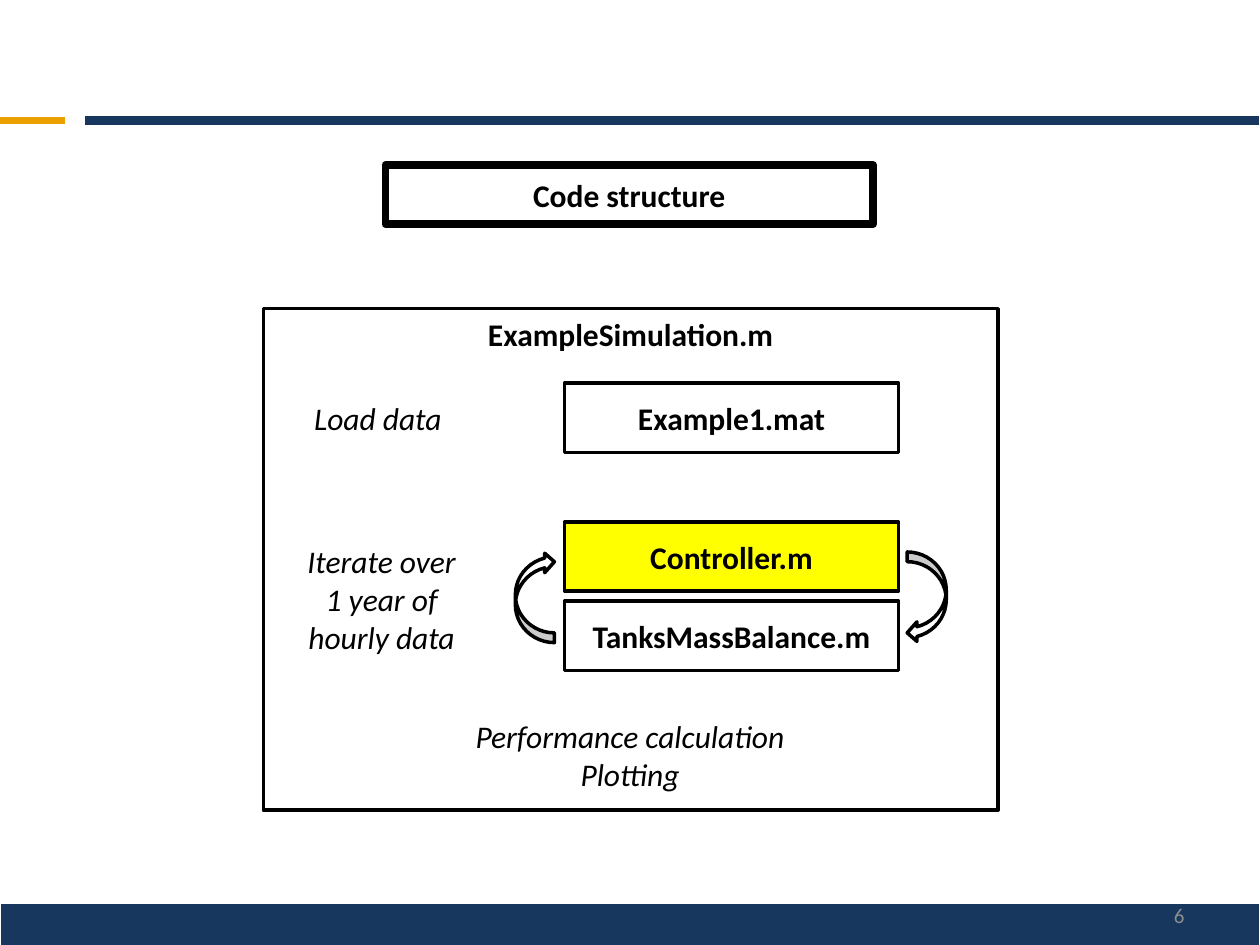
from dataclasses import dataclass
from typing import Optional

from pptx import Presentation
from pptx.dml.color import RGBColor
from pptx.enum.shapes import MSO_SHAPE as Shape
from pptx.enum.text import MSO_ANCHOR as Anchor, PP_ALIGN as Align
from pptx.util import Pt

BLACK, WHITE, NAVY, GOLD, YELLOW, GREY = (
    "000000", "FFFFFF", "17375E", "ECA000", "FFFF00", "8C8C8C")


@dataclass
class Box:
    left: float
    top: float
    width: float
    height: float
    text: str = ""
    fill: Optional[str] = WHITE
    line: Optional[str] = BLACK
    weight: float = 2
    italic: bool = False
    anchor: Anchor = Anchor.MIDDLE
    kind: Shape = Shape.RECTANGLE
    rotation: float = 0


def color(value: str) -> RGBColor:
    return RGBColor.from_string(value)


def write(frame, text: str, size: float, ink: str, align: Align,
          bold: bool = False, italic: bool = False) -> None:
    frame.word_wrap = True
    for index, line in enumerate(text.split("\n")):
        para = frame.add_paragraph() if index else frame.paragraphs[0]
        para.text = line
        para.alignment = align
        font = para.font
        font.name, font.size = "Calibri", Pt(size)
        font.bold, font.italic = bold, italic
        font.color.rgb = color(ink)


def draw_box(page, box: Box) -> None:
    shape = page.shapes.add_shape(
        box.kind, Pt(box.left), Pt(box.top), Pt(box.width), Pt(box.height))
    shape.shadow.inherit = False
    shape.rotation = box.rotation
    if box.fill:
        shape.fill.solid()
        shape.fill.fore_color.rgb = color(box.fill)
    else:
        shape.fill.background()
    if box.line:
        shape.line.color.rgb = color(box.line)
        shape.line.width = Pt(box.weight)
    else:
        shape.line.fill.background()
    if box.text:
        shape.text_frame.vertical_anchor = box.anchor
        write(shape.text_frame, box.text, 18, BLACK, Align.CENTER,
              bold=not box.italic, italic=box.italic)


def bar(left: float, top: float, width: float, height: float, fill: str) -> Box:
    return Box(left, top, width, height, fill=fill, line=WHITE, weight=0.75)


def file_box(top: float, text: str, fill: str = WHITE) -> Box:
    return Box(322.6, top, 190.8, 39.6, text, fill)


def label(left: float, top: float, width: float, height: float, text: str) -> Box:
    return Box(left, top, width, height, text, line=None, italic=True)


def loop_arrow(left: float, rotation: float = 0) -> Box:
    return Box(left, 315.4, 22.3, 51.8, kind=Shape.CURVED_LEFT_ARROW,
               rotation=rotation)


deck = Presentation()
deck.slide_width, deck.slide_height = Pt(720), Pt(540)
page = deck.slides.add_slide(deck.slide_layouts[6])

boxes = [
    # Simulation frame
    Box(150.5, 176.4, 419.8, 286.6, "ExampleSimulation.m", anchor=Anchor.TOP),
    # Header and footer bars
    bar(48.2, 66.2, 671.8, 5.8, NAVY),
    bar(-2.9, 66.4, 40.3, 5, GOLD),
    bar(0, 516.4, 720, 25.9, NAVY),
    # Title
    Box(220.3, 94.3, 278.6, 33.8, "Code structure", fill=None, weight=4.5),
    # Code files
    file_box(298.2, "Controller.m", YELLOW),
    file_box(343.5, "TanksMassBalance.m"),
    file_box(218.9, "Example1.mat"),
    # Step descriptions
    label(167, 218.9, 97.9, 39.6, "Load data"),
    label(167, 301.2, 102.2, 82.1, "Iterate over 1 year of hourly data"),
    label(167.4, 405.4, 385.2, 51.8, "Performance calculation\nPlotting"),
    # Iteration loop
    loop_arrow(518.4),
    loop_arrow(294.5, 180),
]
for box in boxes:
    draw_box(page, box)

# Page number
number = page.shapes.add_textbox(Pt(516.2), Pt(508.5), Pt(167.8), Pt(28.8))
number.text_frame.vertical_anchor = Anchor.MIDDLE
write(number.text_frame, "6", 12, GREY, Align.RIGHT)

deck.save("out.pptx")
